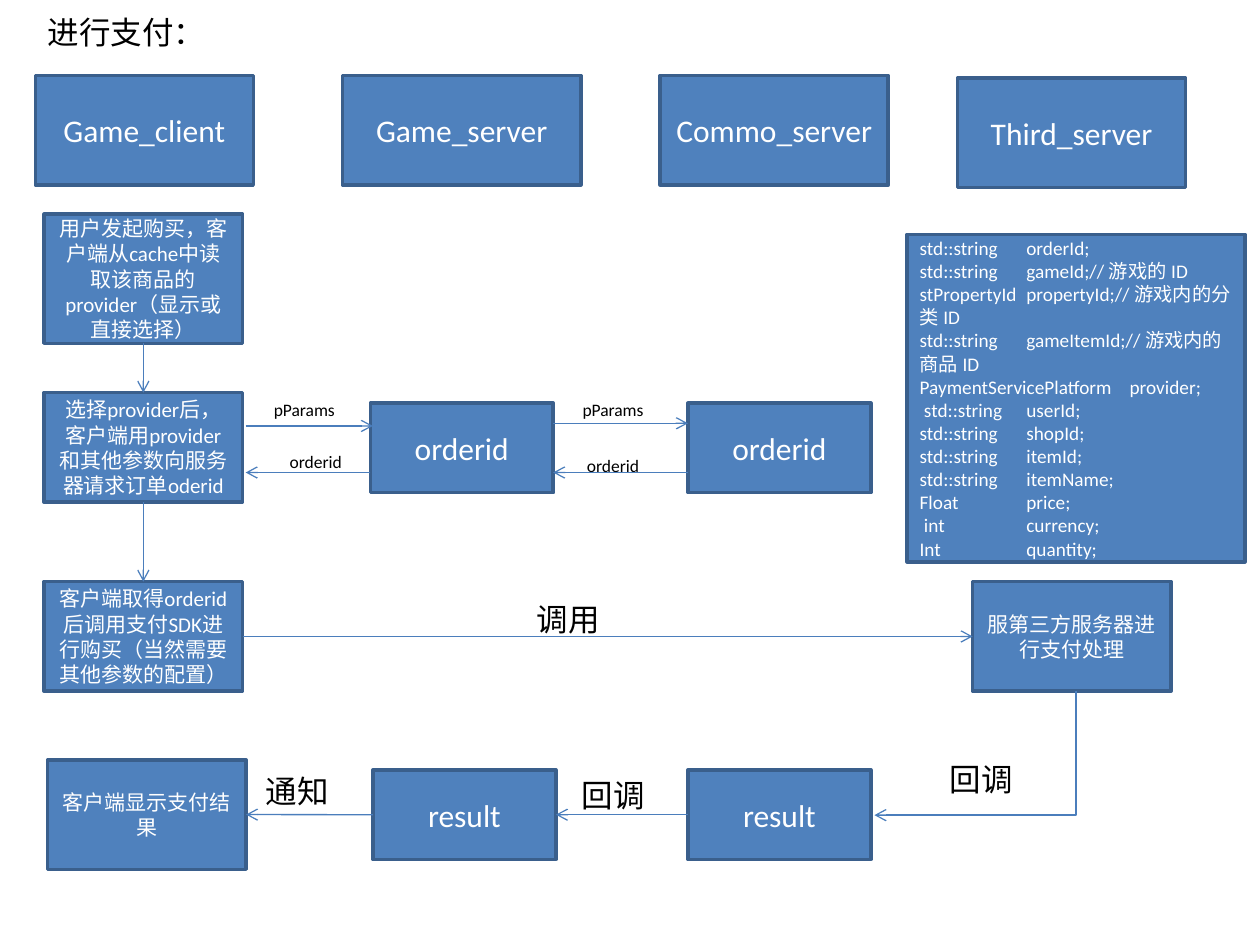
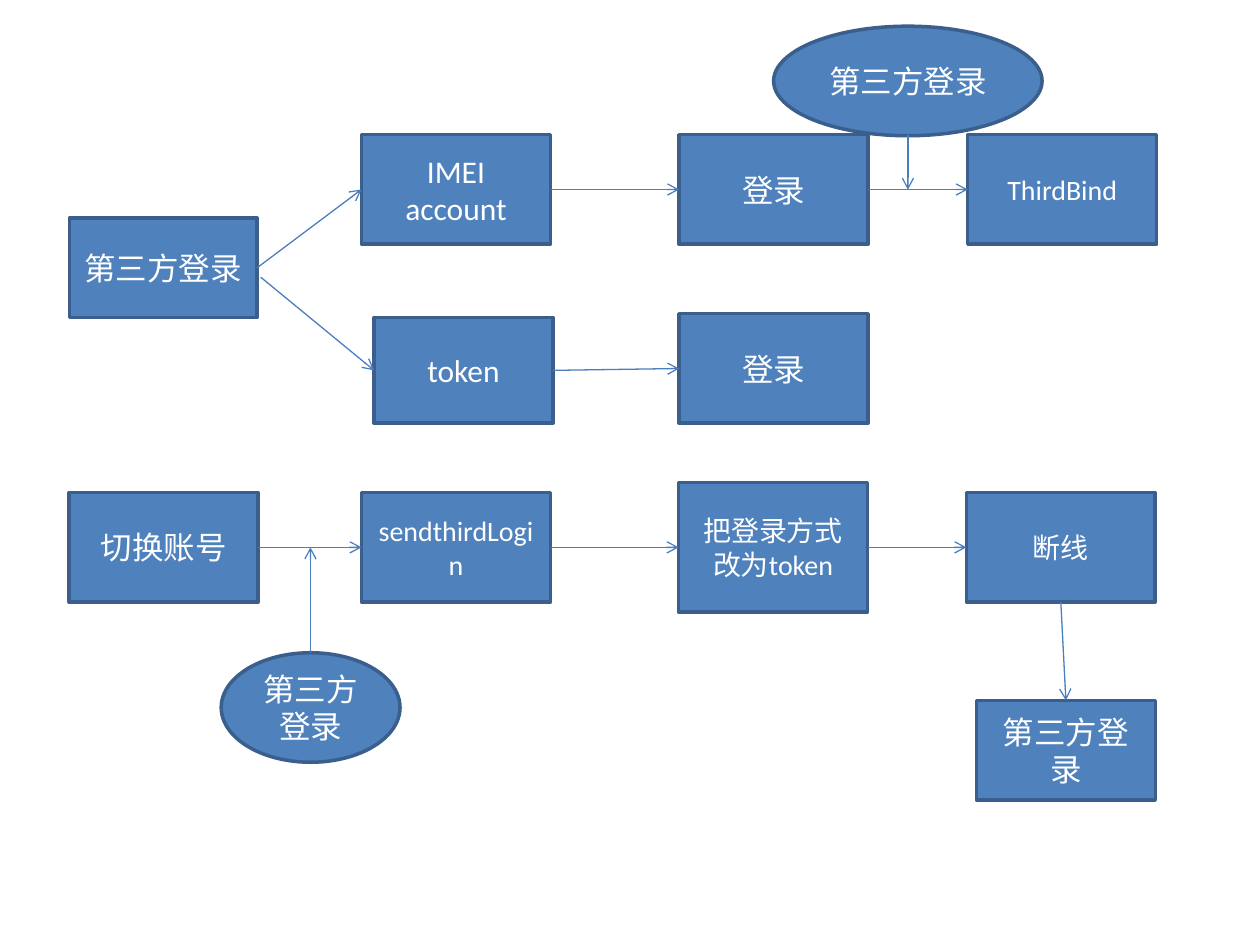
from lxml import etree
from pptx import Presentation
from pptx import util as u
from pptx.dml.color import RGBColor
from pptx.enum import shapes, text
from pptx.oxml import ns

BLUE = RGBColor(0x4F, 0x81, 0xBD)
EDGE = RGBColor(0x3A, 0x5F, 0x8C)
ARROW = RGBColor(0x4B, 0x7E, 0xBC)
WHITE = RGBColor(0xFF, 0xFF, 0xFF)
BLACK = RGBColor(0, 0, 0)
FONT = "Calibri"
TOP, LEFT, BOTTOM, RIGHT = range(4)
RECT, OVAL = shapes.MSO_SHAPE.RECTANGLE, shapes.MSO_SHAPE.OVAL

ORDER_FIELDS = "\n".join([
    "std::string\torderId;",
    "std::string\tgameId;// 游戏的 ID",
    "stPropertyId\tpropertyId;// 游戏内的分类 ID",
    "std::string\tgameItemId;// 游戏内的商品 ID",
    "PaymentServicePlatform\tprovider;",
    " std::string\tuserId;",
    "std::string\tshopId;",
    "std::string\titemId;",
    "std::string\titemName;",
    "Float\tprice;",
    " int\tcurrency;",
    "Int\tquantity;",
])
FIELD_TABS = (61, 120)


def add_xml(parent, tag, **attributes):
    return etree.SubElement(parent, ns.qn(tag), attributes)


def write(shape, words, size, color, align):
    frame = shape.text_frame
    frame.word_wrap = True
    frame.text = words
    for paragraph in frame.paragraphs:
        paragraph.alignment = align
        for run in paragraph.runs:
            run.font.size = u.Pt(size)
            run.font.name = FONT
            run.font.color.rgb = color


def node(slide, words, left, top, width, height, size=18, kind=RECT,
         align=text.PP_ALIGN.CENTER):
    """Add a filled, outlined step of the flow."""
    shape = slide.shapes.add_shape(kind, *map(u.Pt, (left, top, width, height)))
    shape.shadow.inherit = False
    shape.fill.solid()
    shape.fill.fore_color.rgb = BLUE
    shape.line.color.rgb = EDGE
    shape.line.width = u.Pt(2)
    shape.text_frame.vertical_anchor = text.MSO_ANCHOR.MIDDLE
    write(shape, words, size, WHITE, align)
    return shape


def label(slide, words, left, top, width, size=18, align=text.PP_ALIGN.LEFT):
    box = slide.shapes.add_textbox(*map(u.Pt, (left, top, width, 29)))
    write(box, words, size, BLACK, align)


def style_arrow(connector):
    connector.line.color.rgb = ARROW
    connector.line.width = u.Pt(0.75)
    add_xml(connector.line._get_or_add_ln(), "a:tailEnd", type="arrow")
    add_xml(connector._element.spPr, "a:effectLst")


def arrow(slide, start, end):
    """Draw an arrow; each end is a point or a (shape, side) pair."""
    connector = slide.shapes.add_connector(shapes.MSO_CONNECTOR.STRAIGHT, 0, 0, 0, 0)
    if isinstance(start[0], (int, float)):
        connector.begin_x, connector.begin_y = map(u.Pt, start)
    else:
        connector.begin_connect(*start)
    if isinstance(end[0], (int, float)):
        connector.end_x, connector.end_y = map(u.Pt, end)
    else:
        connector.end_connect(*end)
    style_arrow(connector)


def down_left_arrow(slide, start, end):
    """Draw a one-corner arrow that runs down, then left."""
    across, down = start[0] - end[0], end[1] - start[1]
    mid_x, mid_y = (start[0] + end[0]) / 2, (start[1] + end[1]) / 2
    corners = (mid_x - down / 2, mid_y - across / 2,
               mid_x + down / 2, mid_y + across / 2)
    connector = slide.shapes.add_connector(
        shapes.MSO_CONNECTOR.ELBOW, *map(u.Pt, corners))
    properties = connector._element.spPr
    properties.find(ns.qn("a:prstGeom")).set("prst", "bentConnector2")
    properties.find(ns.qn("a:xfrm")).set("rot", "5400000")
    style_arrow(connector)


def order_struct(slide):
    fields = node(slide, ORDER_FIELDS, 518.4, 133.9, 193, 187.2, 11,
                  align=text.PP_ALIGN.LEFT)
    for paragraph in fields.text_frame.paragraphs:
        tabs = add_xml(paragraph._p.get_or_add_pPr(), "a:tabLst")
        for position in FIELD_TABS:
            add_xml(tabs, "a:tab", pos=str(u.Pt(position)), algn="l")


def set_title(slide, words):
    title = slide.shapes.title
    title.left, title.top, title.width, title.height = map(u.Pt, (20.2, 3.6, 124.6, 29))
    title.text_frame.vertical_anchor = text.MSO_ANCHOR.TOP
    write(title, words, 18, BLACK, text.PP_ALIGN.LEFT)


def payment_slide(deck):
    slide = deck.slides.add_slide(deck.slide_layouts[5])
    set_title(slide, "进行支付：")
    for name, left, top, width in (("Game_client", 20.2, 43.2, 124.6),
                                   ("Game_server", 195.8, 43.2, 136.1),
                                   ("Commo_server", 377.3, 43.2, 130.3),
                                   ("Third_server", 547.2, 44.6, 130.3)):
        node(slide, name, left, top, width, 62.6)

    def step(words, left, top, height=62.6):
        return node(slide, words, left, top, 113.4, height, 12)

    def reply(words, left, top):
        return node(slide, words, left, top, 104.6, 51.1)

    purchase = step("用户发起购买，客户端从cache中读取该商品的provider（显示或直接选择）",
                    25.2, 122.4, 73.8)
    request = step("选择provider后，客户端用provider和其他参数向服务器请求订单oderid", 25.2, 224.4)
    pay = step("客户端取得orderid后调用支付SDK进行购买（当然需要其他参数的配置）", 25.2, 332.4)
    third_party = step("服第三方服务器进行支付处理", 555.8, 332.4)
    outcome = step("客户端显示支付结果", 27.2, 434.2)
    reply("orderid", 211.6, 230.4)
    reply("orderid", 393.1, 230.4)
    game_result = reply("result", 213.1, 440)
    commo_result = reply("result", 393.1, 440)
    order_struct(slide)

    for words, left, top, width in (("pParams", 129.6, 224.6, 88.6),
                                    ("pParams", 302.4, 224.6, 95.8),
                                    ("orderid", 135.4, 254.4, 90),
                                    ("orderid", 302.4, 256.3, 95.8)):
        label(slide, words, left, top, width, 10, text.PP_ALIGN.CENTER)
    for words, left, top in (("调用", 299.5, 339.1), ("回调", 325.4, 440),
                             ("通知", 144.7, 437.8), ("回调", 535.7, 430.6)):
        label(slide, words, left, top, 65.5)

    arrow(slide, (purchase, BOTTOM), (request, TOP))
    arrow(slide, (request, BOTTOM), (pay, TOP))
    arrow(slide, (pay, RIGHT), (third_party, LEFT))
    arrow(slide, (commo_result, LEFT), (game_result, RIGHT))
    arrow(slide, (game_result, LEFT), (outcome, RIGHT))
    for x1, x2, y in ((140.4, 213.1, 243.4), (211.7, 140.4, 270),
                      (316.1, 393.1, 241.9), (393.1, 316.1, 270)):
        arrow(slide, (x1, y), (x2, y))
    down_left_arrow(slide, (614.9, 394.6), (499.7, 465.8))


def login_slide(deck):
    slide = deck.slides.add_slide(deck.slide_layouts[6])

    def step(words, left, top, size=18, width=108, height=62.6):
        return node(slide, words, left, top, width, height, size)

    login = "第三方登录"
    start = step(login, 39.6, 124.6, width=107.3, height=56.9)
    account = step("IMEI\naccount", 206.6, 77)
    account_login = step("登录", 388.1, 77)
    bind = step("ThirdBind", 553, 77, 16)
    token = step("token", 213.8, 181.4, width=102.2, height=60.5)
    token_login = step("登录", 388.1, 179.3)

    switch = step("切换账号", 39.6, 281.5)
    send = step("sendthirdLogin", 206.6, 281.5, 16)
    to_token = step("把登录方式改为token", 387.8, 275.8, 16, height=74)
    offline = step("断线", 552.2, 281.5, 16)
    relogin = step(login, 558, 400.3, width=102.2, height=56.9)

    node(slide, login, 442.1, 15, 153.4, 62.6, kind=OVAL)
    node(slide, login, 126.4, 373, 102.2, 62.6, kind=OVAL)

    for left_step, right_step in ((account, account_login), (account_login, bind),
                                  (token, token_login), (switch, send),
                                  (send, to_token), (to_token, offline)):
        arrow(slide, (left_step, RIGHT), (right_step, LEFT))
    arrow(slide, (start, RIGHT), (account, LEFT))
    arrow(slide, (149, 158.4), (token, LEFT))
    arrow(slide, (offline, BOTTOM), (relogin, TOP))
    arrow(slide, (518.8, 77.4), (518.8, 108.4))
    arrow(slide, (177.4, 373), (177.4, 312.8))


def main():
    deck = Presentation()
    deck.slide_width, deck.slide_height = u.Pt(720), u.Pt(540)
    payment_slide(deck)
    login_slide(deck)
    deck.save("out.pptx")


if __name__ == "__main__":
    main()
